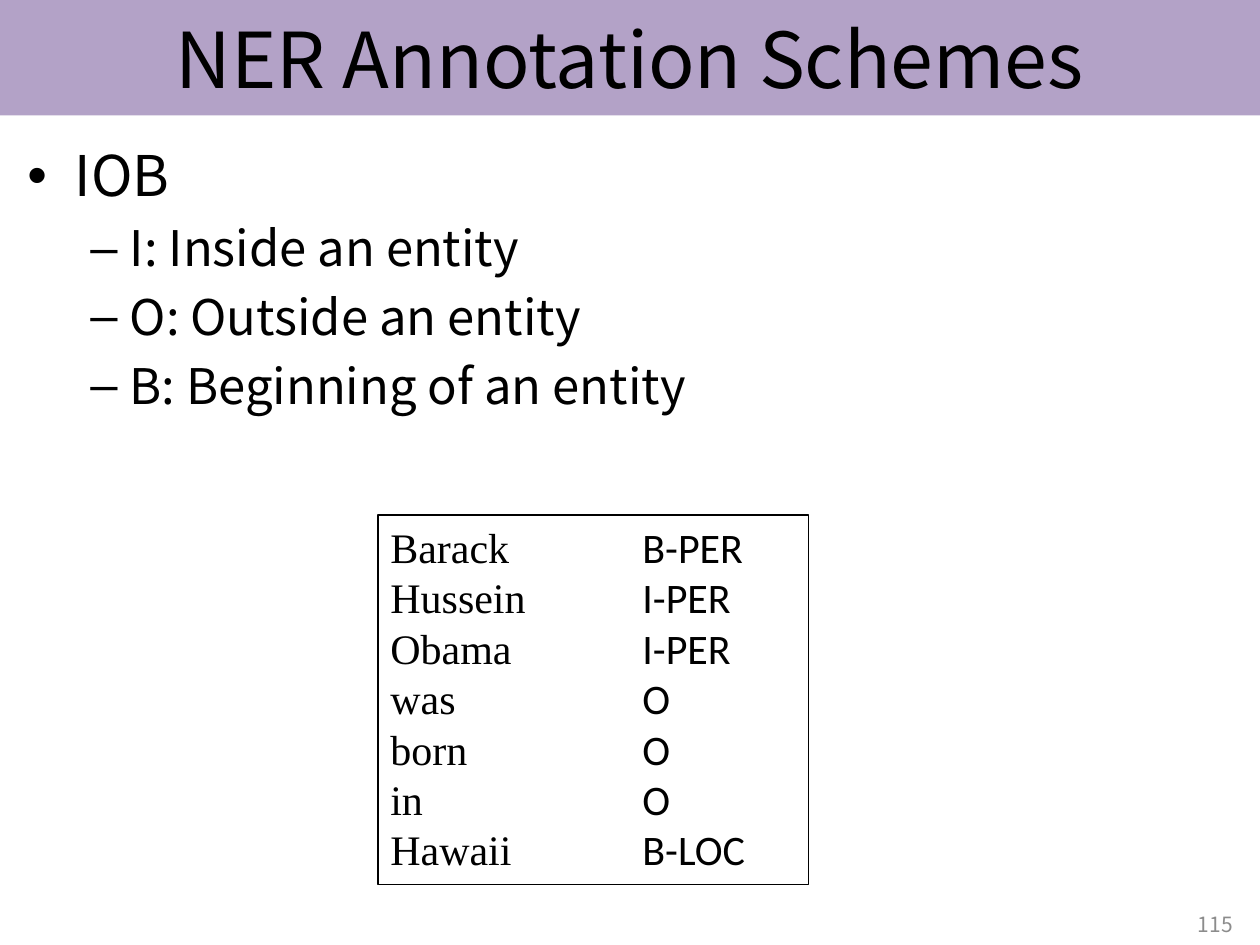
from dataclasses import dataclass

from lxml.etree import SubElement
from pptx import Presentation
from pptx.dml.color import RGBColor as RGB
from pptx.enum.shapes import MSO_SHAPE as SHAPE
from pptx.enum.text import MSO_ANCHOR as ANCHOR, PP_ALIGN as ALIGN
from pptx.oxml.ns import qn
from pptx.util import Pt


@dataclass(frozen=True)
class Theme:
    ink: RGB = RGB(0, 0, 0)
    band: RGB = RGB(0xB3, 0xA2, 0xC7)
    grey: RGB = RGB(0x8C, 0x8C, 0x8C)
    sans: str = "Noto Sans CJK SC"
    word: str = "Times New Roman"
    tag: str = "Calibri"
    title: int = 44
    head: int = 32
    item: int = 28
    token: int = 24
    note: int = 12


THEME = Theme()
POINTS = ["I: Inside an entity", "O: Outside an entity", "B: Beginning of an entity"]
TOKENS = [
    ("Barack", "B-PER"), ("Hussein", "I-PER"), ("Obama", "I-PER"),
    ("was", "O"), ("born", "O"), ("in", "O"), ("Hawaii", "B-LOC"),
]


def add_run(para, text, size, font=THEME.sans, color=THEME.ink):
    run = para.add_run()
    run.text = text
    run.font.size = Pt(size)
    run.font.name = font
    run.font.color.rgb = color
    props = run.font._element
    SubElement(props, qn("a:ea")).set("typeface", font)


def next_para(frame):
    """Return the empty first paragraph, or a new one."""
    first = frame.paragraphs[0]
    return frame.add_paragraph() if first.runs else first


def add_rect(slide, box, fill=None, line=None):
    rect = slide.shapes.add_shape(SHAPE.RECTANGLE, *map(Pt, box))
    rect.shadow.inherit = False
    if fill is None:
        rect.fill.background()
    else:
        rect.fill.solid()
        rect.fill.fore_color.rgb = fill
    if line is None:
        rect.line.fill.background()
    else:
        rect.line.color.rgb = line
        rect.line.width = Pt(1)
    return rect.text_frame


def add_box(slide, box):
    frame = slide.shapes.add_textbox(*map(Pt, box)).text_frame
    frame.word_wrap = True
    return frame


def add_bullet(frame, text, mark, size, left, hang, level=0, gap=0):
    para = next_para(frame)
    para.level = level
    props = para._p.get_or_add_pPr()
    props.set("marL", str(Pt(left)))
    props.set("indent", str(-Pt(hang)))
    SubElement(props, qn("a:buFont")).set("typeface", "Arial")
    SubElement(props, qn("a:buChar")).set("char", mark)
    para.space_before = Pt(gap)
    add_run(para, text, size)


def add_pair(frame, word, tag, stop):
    """Add a token and its tag, the tag set at a tab stop."""
    para = next_para(frame)
    para.alignment = ALIGN.LEFT
    tabs = SubElement(para._p.get_or_add_pPr(), qn("a:tabLst"))
    tab = SubElement(tabs, qn("a:tab"))
    tab.set("pos", str(Pt(stop)))
    tab.set("algn", "l")
    add_run(para, word, THEME.token, font=THEME.word)
    add_run(para, "\t" + tag, THEME.token, font=THEME.tag)


def add_line(frame, text, size, align, color=THEME.ink):
    frame.vertical_anchor = ANCHOR.MIDDLE
    para = next_para(frame)
    para.alignment = align
    add_run(para, text, size, color=color)


def main():
    deck = Presentation()
    deck.slide_width, deck.slide_height = Pt(720), Pt(540)
    slide = deck.slides.add_slide(deck.slide_layouts[6])

    title = add_rect(slide, (0, 0, 720, 66), fill=THEME.band)
    add_line(title, "NER Annotation Schemes", THEME.title, ALIGN.CENTER)

    body = add_box(slide, (8.6, 77, 703, 220))
    add_bullet(body, "IOB", "•", THEME.head, 27, 27)
    for text in POINTS:
        add_bullet(body, text, "–", THEME.item, 58.5, 22.5, level=1, gap=5.6)

    number = add_box(slide, (543.6, 513.4, 168, 28.8))
    add_line(number, "115", THEME.note, ALIGN.RIGHT, color=THEME.grey)

    tokens = add_rect(slide, (216, 294.5, 246, 211), line=THEME.ink)
    tokens.vertical_anchor = ANCHOR.TOP
    for word, tag in TOKENS:
        add_pair(tokens, word, tag, 144)

    deck.save("out.pptx")


if __name__ == "__main__":
    main()
